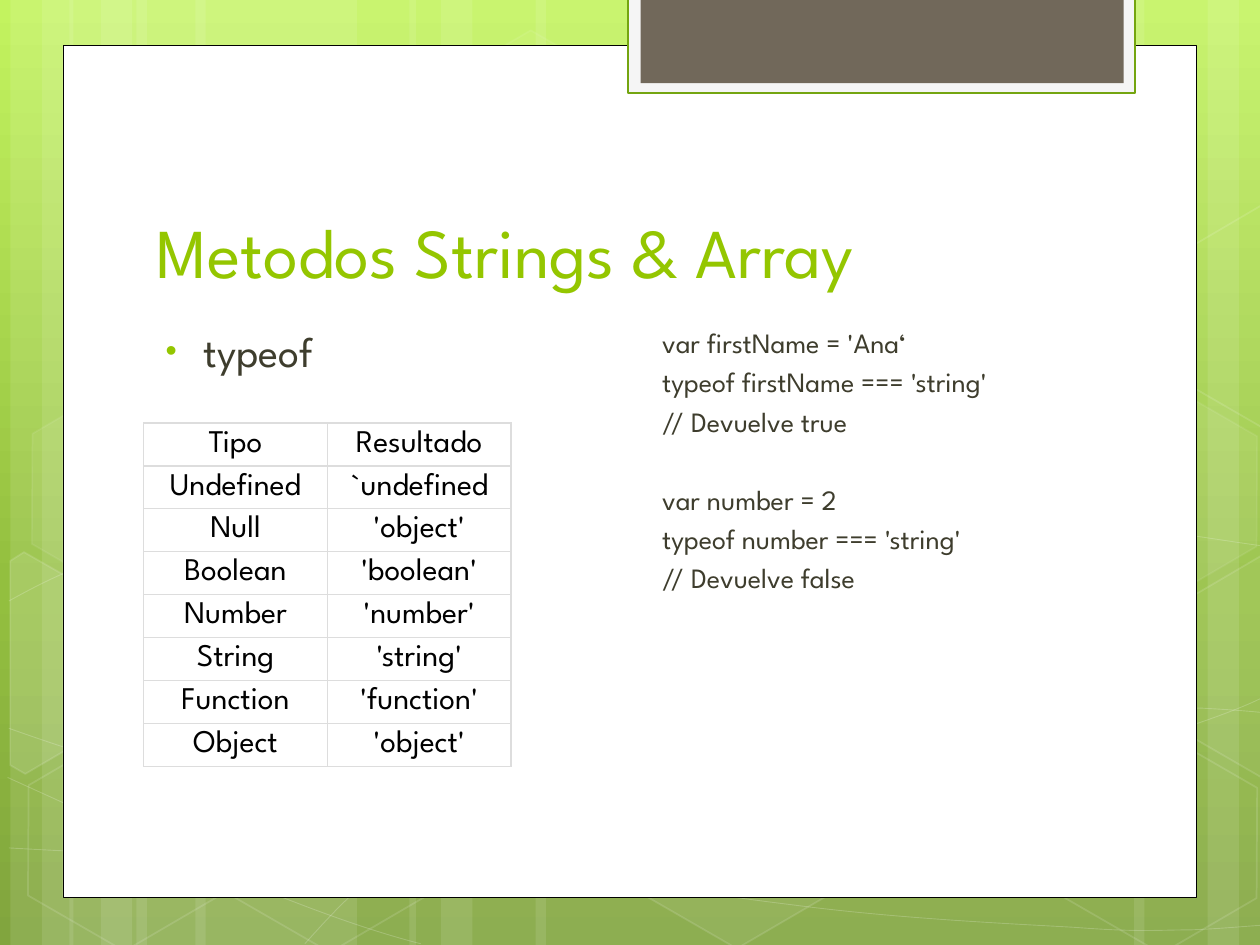
from copy import deepcopy
from dataclasses import dataclass
from math import cos, radians, sin
from typing import Any, Optional

from lxml.etree import SubElement
from pptx import Presentation
from pptx.dml.color import RGBColor
from pptx.enum.shapes import MSO_SHAPE
from pptx.enum.text import MSO_ANCHOR, MSO_AUTO_SIZE, PP_ALIGN
from pptx.oxml.ns import qn
from pptx.util import Emu, Inches, Pt


@dataclass(frozen=True)
class Theme:
    font: str = "League Spartan"
    white: str = "FFFFFF"
    black: str = "000000"
    lime: str = "94C600"
    ink: str = "3E3D2D"
    rim: str = "74A510"
    pale: str = "F5F5F5"
    brown: str = "71685A"
    grid: str = "DDDDDD"
    sky: tuple = ((0, "C3F35F"), (62, "93BF3F"), (100, "81A53E"))
    title: int = 40
    item: int = 24
    cell: int = 18
    code: int = 16


@dataclass(frozen=True)
class Box:
    """Place on a grid of 100 columns and 75 rows."""
    col: float
    row: float
    wide: float
    high: float


@dataclass(frozen=True)
class Hex:
    col: float
    row: float
    fill: int  # opacity in percent, 0 for none
    line: int


@dataclass(frozen=True)
class Cut:
    """Hexagon cropped by the slide edge, turned about a centre."""
    dots: tuple
    mid: tuple
    fill: int


T = Theme()
TILT = 30
deck = Presentation()
deck.slide_width, deck.slide_height = Inches(10), Inches(7.5)
slide = deck.slides.add_slide(deck.slide_layouts[3])
unit = deck.slide_width / 100


def emu(n: float) -> Emu:
    return Emu(round(n * unit))


def rgb(code: str) -> RGBColor:
    return RGBColor.from_string(code)


def paint(fill: Any, color: Optional[str], alpha: int = 100) -> None:
    if color is None or alpha == 0:
        fill.background()
        return
    fill.solid()
    fill.fore_color.rgb = rgb(color)
    if alpha < 100:
        node = fill._xPr.find(f"{qn('a:solidFill')}/{qn('a:srgbClr')}")
        SubElement(node, qn("a:alpha"), val=str(alpha * 1000))


def style(shape: Any, fill: Optional[str], alpha: int = 100, line: Optional[str] = None,
          width: float = 1, clear: int = 100) -> None:
    shape.shadow.inherit = False
    paint(shape.fill, fill, alpha)
    paint(shape.line.fill, line, clear)
    if line:
        shape.line.width = Pt(width)


def draw(kind: MSO_SHAPE, box: Box) -> Any:
    return slide.shapes.add_shape(kind, emu(box.col), emu(box.row), emu(box.wide), emu(box.high))


def trace(dots: list, close: bool) -> Any:
    pts = [(emu(x), emu(y)) for x, y in dots]
    pen = slide.shapes.build_freeform(*pts[0], scale=1.0)
    pen.add_line_segments(pts[1:], close=close)
    return pen.convert_to_shape()


def bend(knots: tuple) -> Any:
    """Open chain of cubic curves: each three points make one segment."""
    shape = trace(list(knots), False)
    route = next(shape._element.iter(qn("a:path")))
    legs = route.findall(qn("a:lnTo"))
    for i in range(0, len(legs), 3):
        curve = SubElement(route, qn("a:cubicBezTo"))
        for leg in legs[i:i + 3]:
            curve.append(leg[0])
            route.remove(leg)
    return shape


def turn(dot: tuple, mid: tuple, angle: float) -> tuple:
    c, s = cos(radians(angle)), sin(radians(angle))
    x, y = dot[0] - mid[0], dot[1] - mid[1]
    return mid[0] + x * c - y * s, mid[1] + x * s + y * c


def write(para: Any, text: str, size: int, color: str) -> None:
    run = para.add_run()
    run.text = text
    run.font.name, run.font.size = T.font, Pt(size)
    run.font.color.rgb = rgb(color)


def indent(para: Any, left: float, first: float) -> Any:
    props = para._p.get_or_add_pPr()
    props.set("marL", str(Inches(left)))
    props.set("indent", str(Inches(first)))
    return props


def holder(idx: int, box: Box, anchor: MSO_ANCHOR) -> Any:
    shape = slide.placeholders[idx]
    shape.left, shape.top = emu(box.col), emu(box.row)
    shape.width, shape.height = emu(box.wide), emu(box.high)
    slide.shapes._spTree.append(shape._element)
    frame = shape.text_frame
    frame.word_wrap, frame.auto_size = True, MSO_AUTO_SIZE.NONE
    frame.vertical_anchor = anchor
    return frame


# Background gradient
back = slide.background.fill
back.gradient()
back.gradient_angle = 270
stops = next(slide._element.iter(qn("a:gsLst")))
stops.insert(1, deepcopy(stops[0]))
for stop, (pos, code) in zip(stops, T.sky):
    stop.set("pos", str(pos * 1000))
    stop.remove(stop[0])
    SubElement(stop, qn("a:srgbClr"), val=code)

# Vertical light bands: column, width, rotation
BANDS = ((10.83, 17.5, 0), (.83, 5, 0), (3.33, 8.33, 0), (15.5, 17.5, 0), (5.5, 5, 0),
         (8, 8.33, 0), (73.33, 17.5, 180), (95.83, 5, 180), (90, 8.33, 180),
         (42.5, 30.83, 0), (32.5, 5, 0), (35, 8.33, 0))
for col, wide, spin in BANDS:
    band = draw(MSO_SHAPE.RECTANGLE, Box(col, 0, wide, 75))
    band.rotation = spin
    style(band, T.white, 10)

# Thin curves
CURVES = (
    ((.7, 67.3), (6.1, 67.6), (11.5, 67.9), (19, 67.8), (26.5, 67.7), (35.8, 67.5), (45.8, 66.5),
     (55.8, 65.5), (70, 63.6), (79.2, 61.7), (88.3, 59.8), (97.7, 56.8), (100.7, 55.1)),
    ((.7, 47.7), (3.6, 46.1), (6.5, 44.6), (12.1, 43.1), (17.8, 41.6), (25.9, 39.4), (34.7, 38.7),
     (43.6, 38), (54.4, 37.9), (65.4, 38.7), (76.4, 39.5), (94.7, 42.6), (100.7, 43.4)),
    ((.6, 61.7), (12.7, 67.2), (24.7, 72.7), (33.4, 74.9)),
    ((.7, 57.8), (3.8, 58.9), (7, 60), (12.8, 61.6), (18.6, 63.1), (27.3, 65.6), (35.7, 67.3),
     (44, 69), (54.5, 70.8), (62.8, 71.8), (71.1, 72.9), (80, 73.3), (85.3, 73.6),
     (90.5, 74), (91.9, 73.8), (94.5, 73.8), (97.1, 73.7), (98.9, 73.5), (100.7, 73.4)),
    ((24.2, 74.9), (26, 72.9), (27.8, 70.9), (30.2, 69.1), (32.6, 67.3), (36, 65.3), (38.8, 63.9),
     (41.6, 62.5), (43.3, 61.9), (47, 60.9), (50.6, 59.9), (57.3, 58.5), (60.8, 57.8),
     (64.4, 57.1), (64.9, 57.1), (68, 56.9), (71.1, 56.6), (76, 56.3), (79.4, 56.2),
     (82.9, 56.1), (88.6, 56.2), (88.6, 56.2), (91, 56.2), (93, 56.2), (95.3, 56.2),
     (97.1, 56.3), (98.8, 56.4), (100.6, 56.6)),
)
for knots in CURVES:
    style(bend(knots), None, line=T.white, width=0.5, clear=20)

# Hexagons, whole and cropped
RIGHT = ((92.6, 48.5), (100.1, 44.1), (100.9, 44.6), (100.9, 61.3), (100.2, 61.7), (92.6, 57.3))
LEFT = ((.8, 44.5), (1.9, 43.8), (9.6, 48.2), (9.5, 57), (2, 61.4), (.8, 60.7))
CELLS = (Hex(33.4, 3.6, 4, 8), Hex(49.7, 58.9, 6, 12), Cut(LEFT, (3.6, 53.5), 10),
         Hex(1.1, 59.1, 0, 12), Hex(1.4, 31.2, 7, 8), Hex(17.4, 59.2, 0, 12),
         Hex(75.3, 45.3, 10, 12), Hex(83.4, 59.3, 0, 12), Hex(83.4, 31.4, 7, 8),
         Cut(RIGHT, (98.5, 52), 4),
         Cut(tuple((x, y - 27.8) for x, y in RIGHT), (98.5, 24.2), 0))
for part in CELLS:
    if isinstance(part, Hex):
        shape, clear = draw(MSO_SHAPE.HEXAGON, Box(part.col, part.row, 17.5, 15.2)), part.line
        shape.adjustments[0] = 0.285
    else:
        shape, clear = trace([turn(d, part.mid, -TILT) for d in part.dots], True), 12
    shape.rotation = TILT
    style(shape, T.white, part.fill, T.white, 1, clear)

# Page panel and top tab
PANELS = ((Box(5, 3.6, 90, 67.65), T.white, T.black, 0.5),
          (Box(49.87, -.2, 40.23, 7.6), T.pale, T.rim, 1.25),
          (Box(50.85, -.2, 38.33, 6.8), T.brown, None, 0))
for box, fill, line, width in PANELS:
    style(draw(MSO_SHAPE.RECTANGLE, box), fill, line=line, width=width)

# Title
para = holder(0, Box(11.4, 11.2, 76.8, 12.5), MSO_ANCHOR.BOTTOM).paragraphs[0]
para.alignment = PP_ALIGN.LEFT
write(para, "Metodos Strings & Array", T.title, T.lime)

# Bulleted item
para = holder(1, Box(11.35, 25.3, 37.4, 38.2), MSO_ANCHOR.TOP).paragraphs[0]
para.line_spacing, para.space_before = Pt(29), Pt(0)
props = indent(para, 0.38, -0.3)
SubElement(SubElement(props, qn("a:buClr")), qn("a:srgbClr"), val=T.lime)
SubElement(props, qn("a:buSzPct"), val="76000")
SubElement(props, qn("a:buFont"), typeface="Arial")
SubElement(props, qn("a:buChar"), char="•")
write(para, "typeof", T.item, T.ink)

# Code sample: two groups of lines
CODE = (("var firstName = 'Ana‘", "typeof firstName === 'string' ", "// Devuelve true "),
        ("var number = 2 ", "typeof number === 'string' ", "// Devuelve false"))
frame = holder(2, Box(50.85, 25.38, 37.4, 38.2), MSO_ANCHOR.TOP)
for g, group in enumerate(CODE):
    for n, text in enumerate(group):
        para = frame.add_paragraph() if g or n else frame.paragraphs[0]
        para.line_spacing = Pt(19)
        para.space_before = Pt(25.8 if g and not n else 3.4)
        SubElement(indent(para, 0.07, 0), qn("a:buNone"))
        write(para, text, T.code, T.ink)

# Table of types
ROWS = (("Tipo", "Resultado"), ("Undefined", "`undefined"), ("Null", "'object'"),
        ("Boolean", "'boolean'"), ("Number", "'number'"), ("String", "'string'"),
        ("Function", "'function'"), ("Object", "'object'"))
sheet = slide.shapes.add_table(len(ROWS), 2, emu(11.4), emu(33.57), emu(29.16), emu(27.28))
table = sheet.table
table.first_row = table.horz_banding = False
for r, row in enumerate(ROWS):
    for c, text in enumerate(row):
        cell = table.cell(r, c)
        cell.vertical_anchor = MSO_ANCHOR.MIDDLE
        cell.margin_left = cell.margin_right = cell.margin_top = cell.margin_bottom = Inches(0.05)
        para = cell.text_frame.paragraphs[0]
        para.alignment = PP_ALIGN.CENTER
        write(para, text, T.cell, T.black)
        props = cell._tc.get_or_add_tcPr()
        for side in ("a:lnL", "a:lnR", "a:lnT", "a:lnB"):
            edge = SubElement(props, qn(side), w=str(Pt(0.75)))
            SubElement(SubElement(edge, qn("a:solidFill")), qn("a:srgbClr"), val=T.grid)
        cell.fill.background()
sheet.height = emu(32.3)

deck.save("out.pptx")
